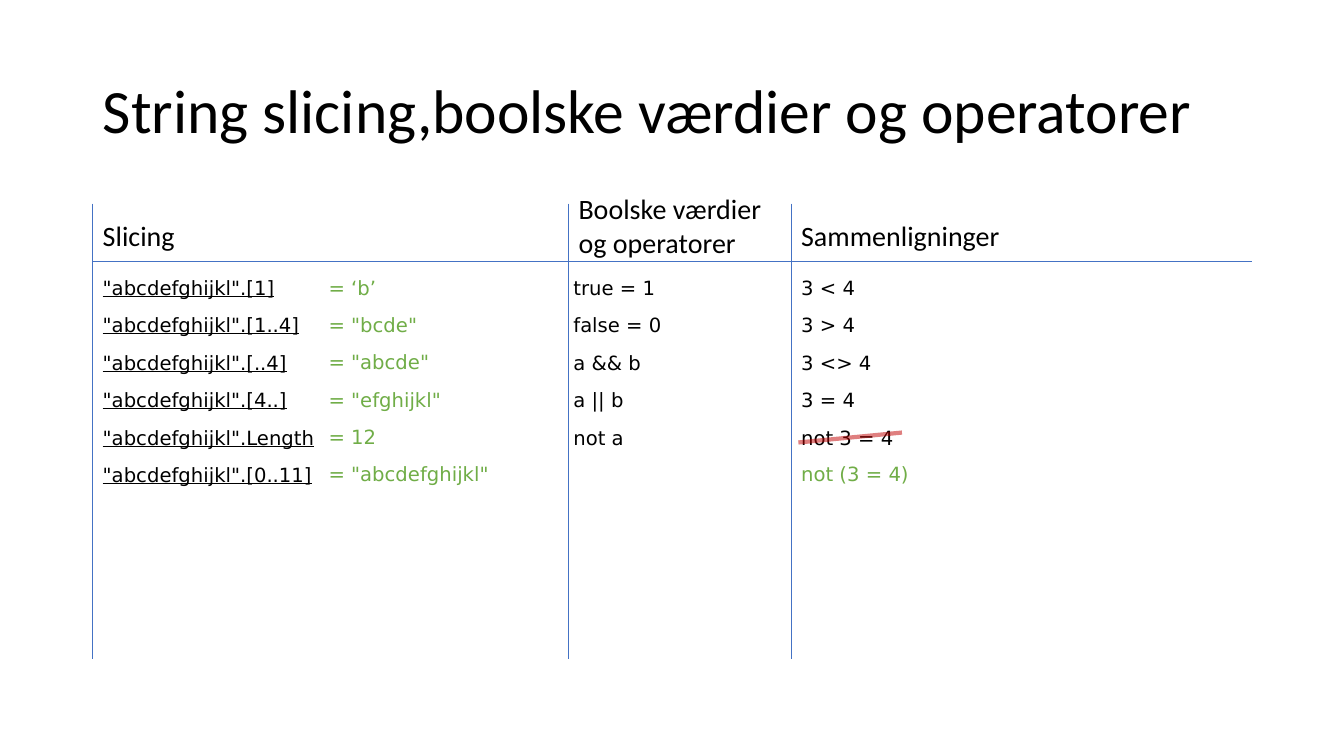
from dataclasses import dataclass

from lxml.etree import SubElement
from pptx import Presentation
from pptx.dml.color import RGBColor
from pptx.enum.shapes import MSO_CONNECTOR
from pptx.enum.text import MSO_ANCHOR, MSO_AUTO_SIZE, PP_ALIGN
from pptx.oxml.ns import qn
from pptx.util import Cm, Pt


@dataclass(frozen=True)
class Theme:
    ink: str = "000000"
    result: str = "70AD47"
    rule: str = "4472C4"
    strike: str = "C00000"
    heading_font: str = "Calibri"
    code_font: str = "DejaVu Sans"
    title_size: int = 44
    heading_size: int = 20
    code_size: int = 14
    code_gap: int = 10
    rule_width: float = 0.5
    strike_width: int = 3


class SlideBuilder:
    def __init__(self, prs, theme):
        self.theme = theme
        self.s = prs.slides.add_slide(prs.slide_layouts[5])

    def set_values(self, target, **values):
        for name, value in values.items():
            setattr(target, name, value)

    def fill_text(self, tf, lines, font, size, color, underline=None, gap=0):
        for i, line in enumerate(lines):
            p = tf.paragraphs[0] if i == 0 else tf.add_paragraph()
            self.set_values(p, alignment=PP_ALIGN.LEFT, space_before=Pt(gap if i else 0))
            r = p.add_run()
            r.text = line
            self.set_values(r.font, name=font, size=Pt(size), underline=underline)
            r.font.color.rgb = RGBColor.from_string(color)

    def title(self, text, left, top, width, height):
        sp = self.s.shapes.title
        self.set_values(sp, left=Cm(left), top=Cm(top), width=Cm(width), height=Cm(height))
        tf = sp.text_frame
        self.set_values(tf, vertical_anchor=MSO_ANCHOR.MIDDLE, word_wrap=True,
                        auto_size=MSO_AUTO_SIZE.NONE)
        t = self.theme
        self.fill_text(tf, [text], t.heading_font, t.title_size, t.ink)
        tf.paragraphs[0].line_spacing = 0.9

    def box(self, left, top, width, height, wrap):
        sp = self.s.shapes.add_textbox(Cm(left), Cm(top), Cm(width), Cm(height))
        sp.text_frame.word_wrap = wrap
        return sp.text_frame

    def heading(self, text, left, top, width, height, wrap=False):
        t = self.theme
        tf = self.box(left, top, width, height, wrap)
        self.fill_text(tf, [text], t.heading_font, t.heading_size, t.ink)

    def code(self, lines, left, top, width, height, color=None, underline=None):
        t = self.theme
        tf = self.box(left, top, width, height, True)
        self.fill_text(tf, lines, t.code_font, t.code_size, color or t.ink, underline, t.code_gap)

    def line(self, x1, y1, x2, y2, color, width, opacity=None):
        cn = self.s.shapes.add_connector(
            MSO_CONNECTOR.STRAIGHT, Cm(x1), Cm(y1), Cm(x2), Cm(y2))
        cn.line.color.rgb = RGBColor.from_string(color)
        cn.line.width = Pt(width)
        sp_pr = cn._element.spPr
        if opacity is not None:
            clr = next(sp_pr.iter(qn("a:srgbClr")))
            SubElement(clr, qn("a:alpha")).set("val", str(opacity * 1000))
        SubElement(sp_pr, qn("a:effectLst"))


SLICES = ['"abcdefghijkl".[1]', '"abcdefghijkl".[1..4]', '"abcdefghijkl".[..4]',
          '"abcdefghijkl".[4..]', '"abcdefghijkl".Length', '"abcdefghijkl".[0..11]']
RESULTS = ["= ‘b’", '= "bcde"', '= "abcde"', '= "efghijkl"', "= 12", '= "abcdefghijkl"']
BOOLEANS = ["true = 1", "false = 0", "a && b", "a || b", "not a"]
COMPARISONS = ["3 < 4", "3 > 4", "3 <> 4", "3 = 4", "not 3 = 4"]
COLUMNS = SLICING_X, BOOLEAN_X, COMPARE_X = 2.34, 14.33, 19.94
CODE_TOP, ROW_STEP = 6.82, 0.94


def main():
    prs = Presentation()
    prs.slide_width, prs.slide_height = Cm(33.87), Cm(19.05)
    theme = Theme()
    b = SlideBuilder(prs, theme)

    b.title("String slicing,boolske værdier og operatorer", SLICING_X, 1.02, 30.25, 3.68)
    b.code(SLICES, SLICING_X, CODE_TOP, 14, 6.3, underline=True)
    for i, result in enumerate(RESULTS):
        b.code([result], 8.03, CODE_TOP + i * ROW_STEP, 4.8, 0.86, theme.result)

    for x in COLUMNS:
        b.line(x, 5.13, x, 16.61, theme.rule, theme.rule_width)
    b.heading("Slicing", SLICING_X, 5.38, 2.34, 1.12)
    b.heading("Boolske værdier og operatorer", BOOLEAN_X, 4.7, 5.33, 1.96, wrap=True)
    b.heading("Sammenligninger", COMPARE_X, 5.38, 5.56, 1.12)
    b.line(SLICING_X, 6.58, 31.55, 6.58, theme.rule, theme.rule_width)

    b.code(BOOLEANS, 14.2, CODE_TOP, 5.46, 9.37)
    b.code(COMPARISONS, COMPARE_X, CODE_TOP, 5.46, 9.37)
    b.code(["not (3 = 4)"], COMPARE_X, CODE_TOP + 5 * ROW_STEP, 5.46, 0.89, theme.result)
    b.line(20.12, 11.15, 22.73, 10.9, theme.strike, theme.strike_width, opacity=50)

    prs.save("out.pptx")


if __name__ == "__main__":
    main()
